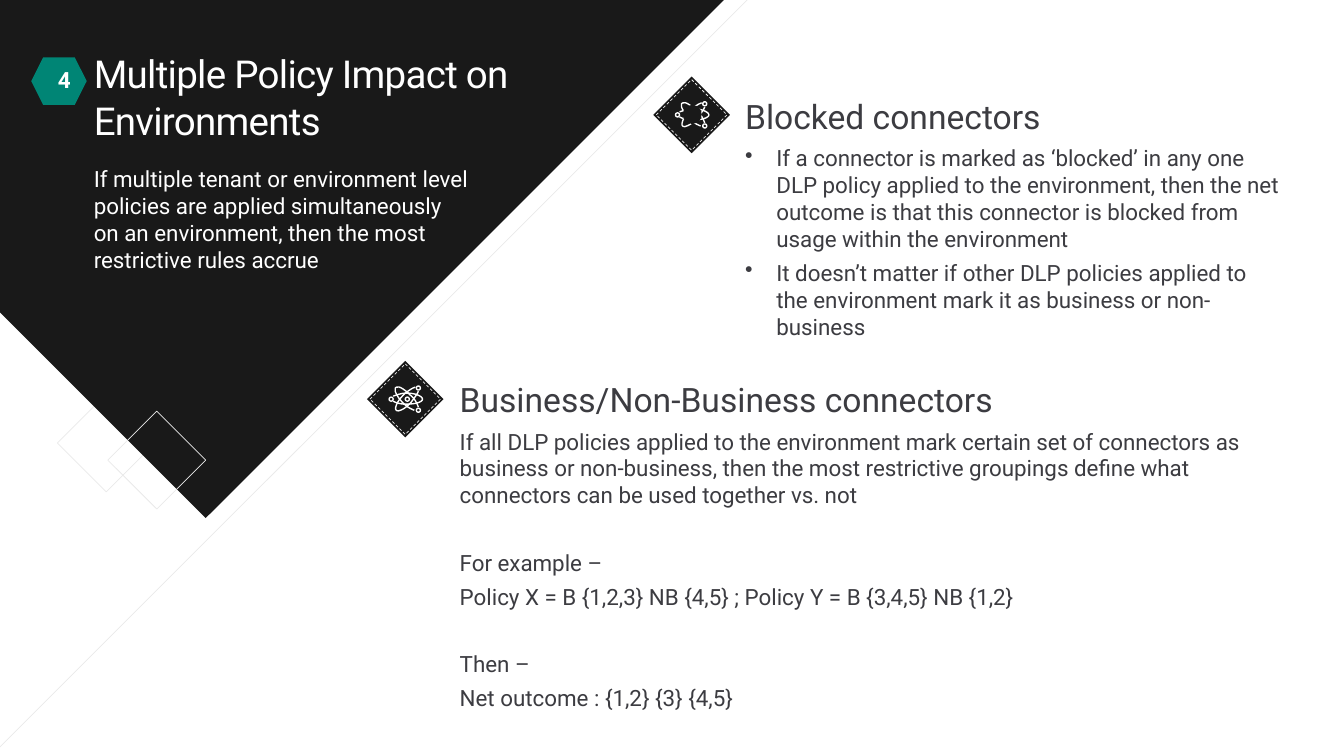
from copy import deepcopy

from lxml import etree
from pptx import Presentation
from pptx.dml.color import RGBColor
from pptx.enum.dml import MSO_LINE
from pptx.enum.shapes import MSO_CONNECTOR, MSO_SHAPE
from pptx.enum.text import MSO_ANCHOR, MSO_AUTO_SIZE, PP_ALIGN
from pptx.oxml.ns import qn
from pptx.util import Pt

PX = 9144  # 100 px to the inch
DIAMOND, OVAL, HEXAGON = MSO_SHAPE.DIAMOND, MSO_SHAPE.OVAL, MSO_SHAPE.HEXAGON
STRAIGHT, DASH = MSO_CONNECTOR.STRAIGHT, MSO_LINE.DASH
CENTER, MIDDLE = PP_ALIGN.CENTER, MSO_ANCHOR.MIDDLE
FIT_TEXT = MSO_AUTO_SIZE.SHAPE_TO_FIT_TEXT

BLACK = RGBColor(0x19, 0x19, 0x19)
WHITE = RGBColor(0xFF, 0xFF, 0xFF)
PALE = RGBColor(0xEA, 0xEA, 0xEA)
INK = RGBColor(0x3C, 0x3C, 0x41)
TEAL = RGBColor(0x00, 0x85, 0x75)

deck = Presentation()
deck.slide_width, deck.slide_height = 1333 * PX, 750 * PX
slide = deck.slides.add_slide(deck.slide_layouts[6])
shapes = slide.shapes


def write(paragraph, text, size=16, color=INK, bold=False, spacing=None,
          before=0, after=0, bullet=False):
    paragraph.space_before, paragraph.space_after = Pt(before), Pt(after)
    if bullet:
        properties = paragraph._p.get_or_add_pPr()
        properties.set("marL", str(31 * PX))
        properties.set("indent", str(-31 * PX))
        etree.SubElement(properties, qn("a:buChar"), char="•")
    paragraph.text = text
    for span in paragraph.runs:
        span.font.name, span.font.size, span.font.bold = "Roboto", Pt(size), bold
        span.font.color.rgb = color
        if spacing:
            span._r.get_or_add_rPr().set("spc", str(spacing))
    for line_break in paragraph._p.findall(qn("a:br")):
        line_break.append(deepcopy(span._r.rPr))


def paint(shape, fill=None, line=None, weight=0.5, dash=None):
    shape.shadow.inherit = False
    if fill is None:
        shape.fill.background()
    else:
        shape.fill.solid()
        shape.fill.fore_color.rgb = fill
    if line is None:
        shape.line.fill.background()
    else:
        shape.line.color.rgb = line
        shape.line.width = Pt(weight)
        if dash:
            shape.line.dash_style = dash


# Black corner panel between two outlined diamonds, and the long diagonal
paint(shapes.add_shape(DIAMOND, 57 * PX, 391 * PX, 97 * PX, 97 * PX), line=PALE)
panel = shapes.build_freeform(0, 0, scale=PX)
panel.add_line_segments([(718, 0), (204, 514), (0, 310)])
paint(panel.convert_to_shape(), fill=BLACK)
diagonal = shapes.add_connector(STRAIGHT, -3 * PX, 744 * PX, 745 * PX, -4 * PX)
diagonal.line.color.rgb = PALE
diagonal.line.width = Pt(0.5)
etree.SubElement(diagonal._element.spPr, qn("a:effectLst"))
paint(shapes.add_shape(DIAMOND, 107 * PX, 408 * PX, 97 * PX, 97 * PX), line=PALE)

# Text boxes: place, then paragraphs with their format
heading = dict(size=24, after=6)
body = dict(after=5)
section = dict(before=24, after=5)
point = dict(after=5, bullet=True)
text_boxes = [
    ((93, 50, 482, 93), [
        ("Multiple Policy Impact on Environments",
         dict(size=27.5, color=WHITE, spacing=-50))]),
    ((93, 164, 381, 108), [
        ("If multiple tenant or environment level policies are applied simultaneously\v"
         "on an environment, then the most restrictive rules accrue",
         dict(color=WHITE))]),
    ((456, 376, 814, 333), [
        ("Business/Non-Business connectors", heading),
        ("If all DLP policies applied to the environment mark certain set of "
         "connectors as business or non-business, then the most restrictive "
         "groupings define what connectors can be used together vs. not", body),
        ("For example –", section),
        ("Policy X = B {1,2,3} NB {4,5} ; Policy Y = B {3,4,5} NB {1,2}", body),
        ("Then –", section),
        ("Net outcome : {1,2} {3} {4,5}", body)]),
    ((739, 95, 531, 244), [
        ("Blocked connectors", heading),
        ("If a connector is marked as ‘blocked’ in any one DLP policy applied to "
         "the environment, then the net outcome is that this connector is blocked "
         "from usage within the environment", point),
        ("It doesn’t matter if other DLP policies applied to the environment mark "
         "it as business or non-business", point)]),
]
for place, paragraphs in text_boxes:
    frame = shapes.add_textbox(*[length * PX for length in place]).text_frame
    frame.word_wrap, frame.auto_size = True, FIT_TEXT
    frame.margin_left = frame.margin_right = frame.margin_top = frame.margin_bottom = 0
    for index, (text, style) in enumerate(paragraphs):
        paragraph = frame.add_paragraph() if index else frame.paragraphs[0]
        write(paragraph, text, **style)

# Atom icons: orbits are chains of cubic curves (start, then three points each)
ELECTRONS = [(38, 36), (49, 47), (22, 36), (49, 25)]
ORBITS = [
    [(51, 30), (50, 33), (47, 37), (43, 42), (37, 48), (31, 51), (29, 49),
     (27, 47), (30, 40), (36, 34), (40, 30), (45, 27), (48, 26)],
    [(47, 49), (44, 48), (40, 46), (36, 42), (31, 37), (29, 33), (28, 30),
     (28, 28), (28, 27), (28, 27), (29, 26), (30, 26), (32, 26),
     (35, 27), (39, 30), (43, 34), (48, 38), (50, 43), (51, 46)],
    [(26, 35), (29, 34), (34, 32), (39, 32), (48, 32), (55, 35), (55, 38),
     (55, 41), (48, 43), (39, 43), (34, 43), (29, 42), (26, 40)],
]
STEPS = 8
FINE = 10  # freeform units in one px
for left, top, hollow in [(364, 358, False), (648, 76, True)]:
    icon = shapes.add_group_shape().shapes
    paint(icon.add_shape(DIAMOND, left * PX, top * PX, 76 * PX, 76 * PX), fill=BLACK)
    paint(icon.add_shape(DIAMOND, (left + 3) * PX, (top + 3) * PX, 70 * PX, 70 * PX),
          line=PALE, dash=DASH)
    for x, y in ELECTRONS:
        paint(icon.add_shape(OVAL, (left + x) * PX, (top + y) * PX, 4 * PX, 4 * PX),
              line=WHITE, weight=1)
    for orbit in ORBITS:
        points = [((left + x) * FINE, (top + y) * FINE) for x, y in orbit]
        curve = icon.build_freeform(*points[0], scale=PX / FINE)
        for first in range(0, len(points) - 1, 3):
            for step in range(1, STEPS + 1):
                t = step / STEPS
                weights = ((1 - t) ** 3, 3 * t * (1 - t) ** 2, 3 * t * t * (1 - t), t ** 3)
                corners = points[first:first + 4]
                spot = [sum(w * corner[axis] for w, corner in zip(weights, corners))
                        for axis in (0, 1)]
                curve.add_line_segments([spot], close=False)
        paint(curve.convert_to_shape(), line=WHITE, weight=1)
    if hollow:
        paint(icon.add_shape(OVAL, (left + 29) * PX, (top + 28) * PX, 19 * PX, 19 * PX),
              fill=BLACK)

# Number badge
badge = shapes.add_shape(HEXAGON, 31 * PX, 57 * PX, 55 * PX, 47 * PX)
paint(badge, fill=TEAL)
frame = badge.text_frame
frame.vertical_anchor = MIDDLE
frame.margin_left = frame.margin_right = 20 * PX
frame.margin_top = frame.margin_bottom = 16 * PX
number = frame.paragraphs[0]
number.alignment, number.line_spacing = CENTER, 0.9
write(number, "4", color=WHITE, bold=True)

deck.save("out.pptx")
